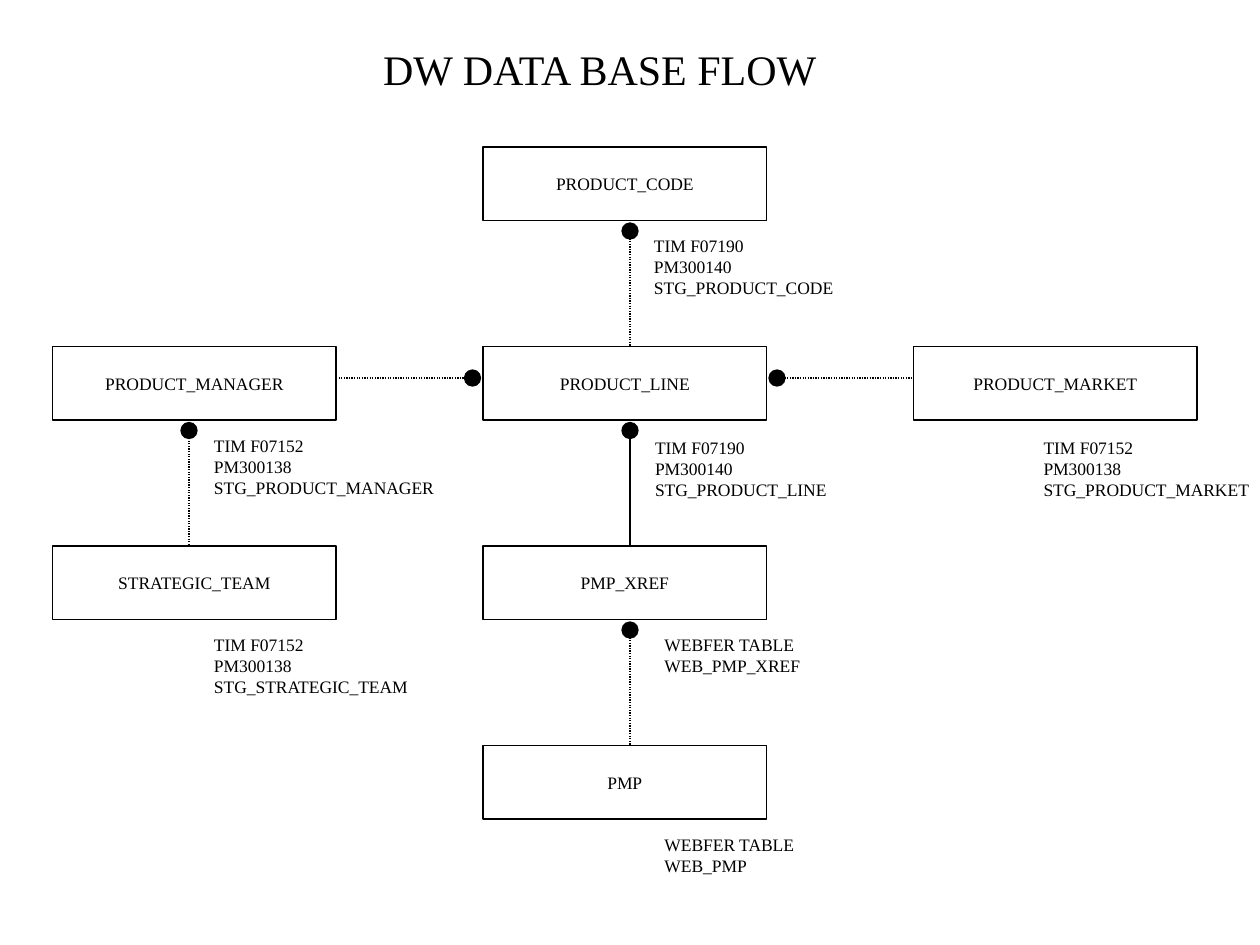
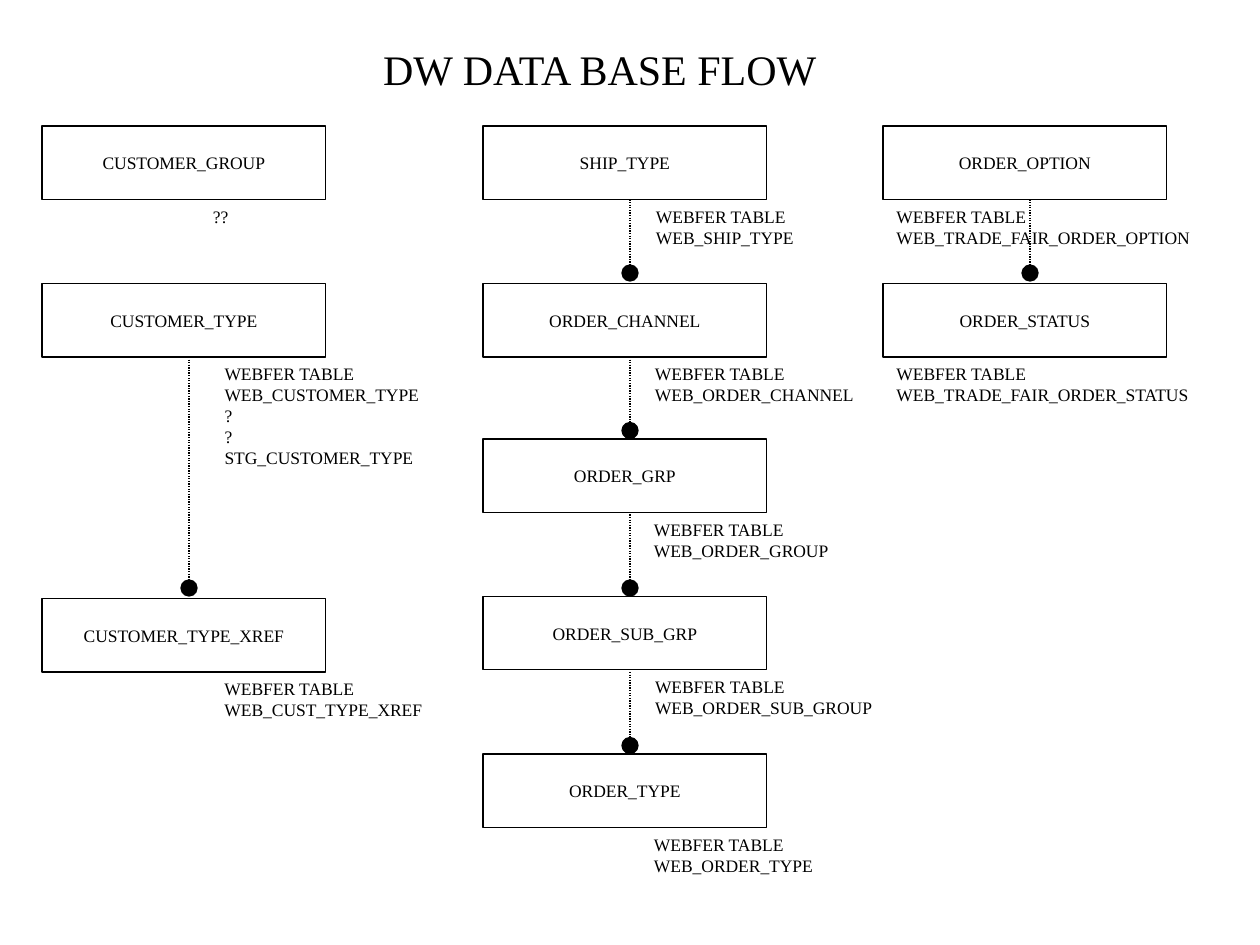
"""Build two data warehouse flow diagrams on a grid of twelfths of an inch."""
import pptx
import pptx.dml.color
import pptx.enum.dml
import pptx.enum.shapes
import pptx.enum.text
import pptx.oxml
import pptx.oxml.ns
import pptx.util

FONT = "Times New Roman"
INK = "000000"
TITLE = "DW DATA BASE FLOW"
COLUMNS, ROWS = 120, 90
ENTITY_WIDTH, ENTITY_HEIGHT = 27, 7
MIDDLE = 46

PRODUCT_ENTITIES = [
    # column, row, name, caption column, caption gap, caption width, caption
    (MIDDLE, 14, "PRODUCT_CODE", 61.1, 0.8, 19.8, "TIM F07190\nPM300140\nSTG_PRODUCT_CODE"),
    (MIDDLE, 33, "PRODUCT_LINE", 61.2, 1, 19.1, "TIM F07190\nPM300140\nSTG_PRODUCT_LINE"),
    (MIDDLE, 52, "PMP_XREF", 62.1, 0.8, 15.6, "WEBFER TABLE\nWEB_PMP_XREF"),
    (MIDDLE, 71, "PMP", 62.1, 0.8, 15.3, "WEBFER TABLE\nWEB_PMP"),
    (5, 33, "PRODUCT_MANAGER", 19.2, 0.8, 23.7, "TIM F07152\nPM300138\nSTG_PRODUCT_MANAGER"),
    (87, 33, "PRODUCT_MARKET", 98.2, 1, 22.4, "TIM F07152\nPM300138\nSTG_PRODUCT_MARKET"),
    (5, 52, "STRATEGIC_TEAM", 19.2, 0.8, 21.4, "TIM F07152\nPM300138\nSTG_STRATEGIC_TEAM"),
]
PRODUCT_LINKS = [
    ((60, 22), (60, 33), "headEnd", True),
    ((60, 41), (60, 52), "headEnd", False),
    ((60, 60), (60, 71), "headEnd", True),
    ((32, 36), (45, 36), "tailEnd", True),
    ((74, 36), (87, 36), "headEnd", True),
    ((18, 41), (18, 52), "headEnd", True),
]
ORDER_ENTITIES = [
    (4, 12, "CUSTOMER_GROUP", 19.1, 0, 4.2, "??"),
    (4, 27, "CUSTOMER_TYPE", 20.2, 0, 21.3,
     "WEBFER TABLE\nWEB_CUSTOMER_TYPE\n?\n?\nSTG_CUSTOMER_TYPE"),
    (4, 57, "CUSTOMER_TYPE_XREF", 20.2, 0, 21.6, "WEBFER TABLE\nWEB_CUST_TYPE_XREF"),
    (MIDDLE, 12, "SHIP_TYPE", 61.3, 0, 15.9, "WEBFER TABLE\nWEB_SHIP_TYPE"),
    (MIDDLE, 27, "ORDER_CHANNEL", 61.2, 0, 21.6, "WEBFER TABLE\nWEB_ORDER_CHANNEL"),
    (MIDDLE, 41.8, "ORDER_GRP", 61.1, 0, 19.4, "WEBFER TABLE\nWEB_ORDER_GROUP"),
    (MIDDLE, 56.8, "ORDER_SUB_GRP", 61.2, 0, 23.4, "WEBFER TABLE\nWEB_ORDER_SUB_GROUP"),
    (MIDDLE, 71.8, "ORDER_TYPE", 61.1, 0, 17.9, "WEBFER TABLE\nWEB_ORDER_TYPE"),
    (84.1, 12, "ORDER_OPTION", 84.2, 0, 30.8, "WEBFER TABLE\nWEB_TRADE_FAIR_ORDER_OPTION"),
    (84.1, 27, "ORDER_STATUS", 84.2, 0, 31, "WEBFER TABLE\nWEB_TRADE_FAIR_ORDER_STATUS"),
]
ORDER_LINKS = [((60, row), (60, row + 7), "tailEnd", True) for row in (19, 34, 49, 64)] + [
    ((18, 34), (18, 56), "tailEnd", True),
    ((98.1, 19), (98.1, 26), "tailEnd", True),
]


def cells(*counts):
    """Turn grid cells into lengths."""
    return [pptx.util.Inches(count / 12) for count in counts]


def color(hex_string):
    """Return the colour of a hex string."""
    return pptx.dml.color.RGBColor.from_string(hex_string)


def write(frame, text, size, align):
    """Fill a text frame with unwrapped text in the shared font."""
    frame.word_wrap = False
    frame.text = text
    for paragraph in frame.paragraphs:
        paragraph.alignment = align
        for run in paragraph.runs:
            run.font.name = FONT
            run.font.size = pptx.util.Pt(size)
            run.font.color.rgb = color(INK)


def add_caption(slide, column, row, width, height, text, size=10):
    """Add left-aligned text that fits its box."""
    frame = slide.shapes.add_textbox(*cells(column, row, width, height)).text_frame
    write(frame, text, size, pptx.enum.text.PP_ALIGN.LEFT)
    frame.auto_size = pptx.enum.text.MSO_AUTO_SIZE.SHAPE_TO_FIT_TEXT


def add_entity(slide, column, row, name, caption_column, gap, caption_width, caption):
    """Add a table box with its source caption beneath."""
    box = slide.shapes.add_shape(
        pptx.enum.shapes.MSO_SHAPE.RECTANGLE,
        *cells(column, row, ENTITY_WIDTH, ENTITY_HEIGHT))
    box.shadow.inherit = False
    box.fill.background()
    box.line.color.rgb = color(INK)
    box.line.width = pptx.util.Pt(0.75)
    box.text_frame.vertical_anchor = pptx.enum.text.MSO_ANCHOR.MIDDLE
    write(box.text_frame, name, 10, pptx.enum.text.PP_ALIGN.CENTER)
    caption_height = 2 * len(caption.split("\n")) + 1.2
    add_caption(slide, caption_column, row + ENTITY_HEIGHT + gap,
                caption_width, caption_height, caption)


def add_link(slide, start, end, dot_end, dotted):
    """Add a relation line with a large dot at one end."""
    link = slide.shapes.add_connector(
        pptx.enum.shapes.MSO_CONNECTOR.STRAIGHT, *cells(*start, *end))
    link.line.color.rgb = color(INK)
    link.line.width = pptx.util.Pt(0.75)
    if dotted:
        link.line.dash_style = pptx.enum.dml.MSO_LINE.ROUND_DOT
    properties = link._element.spPr
    outline = properties.find(pptx.oxml.ns.qn("a:ln"))
    dot = pptx.oxml.parse_xml(
        f'<a:{dot_end} {pptx.oxml.ns.nsdecls("a")} type="oval" w="lg" len="lg"/>')
    outline.append(dot)
    properties.append(pptx.oxml.parse_xml(f'<a:effectLst {pptx.oxml.ns.nsdecls("a")}/>'))


def add_flow(deck, entities, links):
    """Add one titled flow slide."""
    slide = deck.slides.add_slide(deck.slide_layouts[6])
    add_caption(slide, 35.3, 3.6, 45.2, 6, TITLE, 24)
    for entity in entities:
        add_entity(slide, *entity)
    for link in links:
        add_link(slide, *link)


def main():
    """Build and save the deck."""
    deck = pptx.Presentation()
    deck.slide_width, deck.slide_height = cells(COLUMNS, ROWS)
    add_flow(deck, PRODUCT_ENTITIES, PRODUCT_LINKS)
    add_flow(deck, ORDER_ENTITIES, ORDER_LINKS)
    deck.save("out.pptx")


if __name__ == "__main__":
    main()
